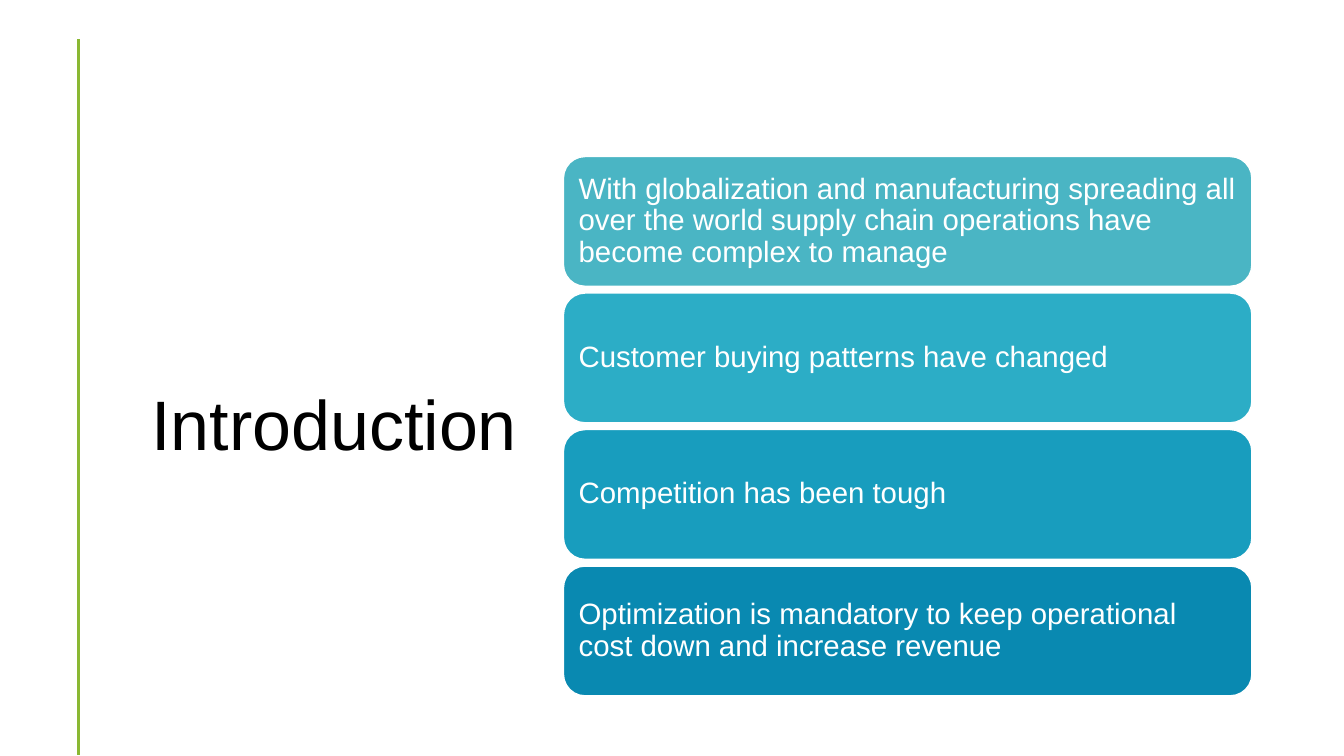
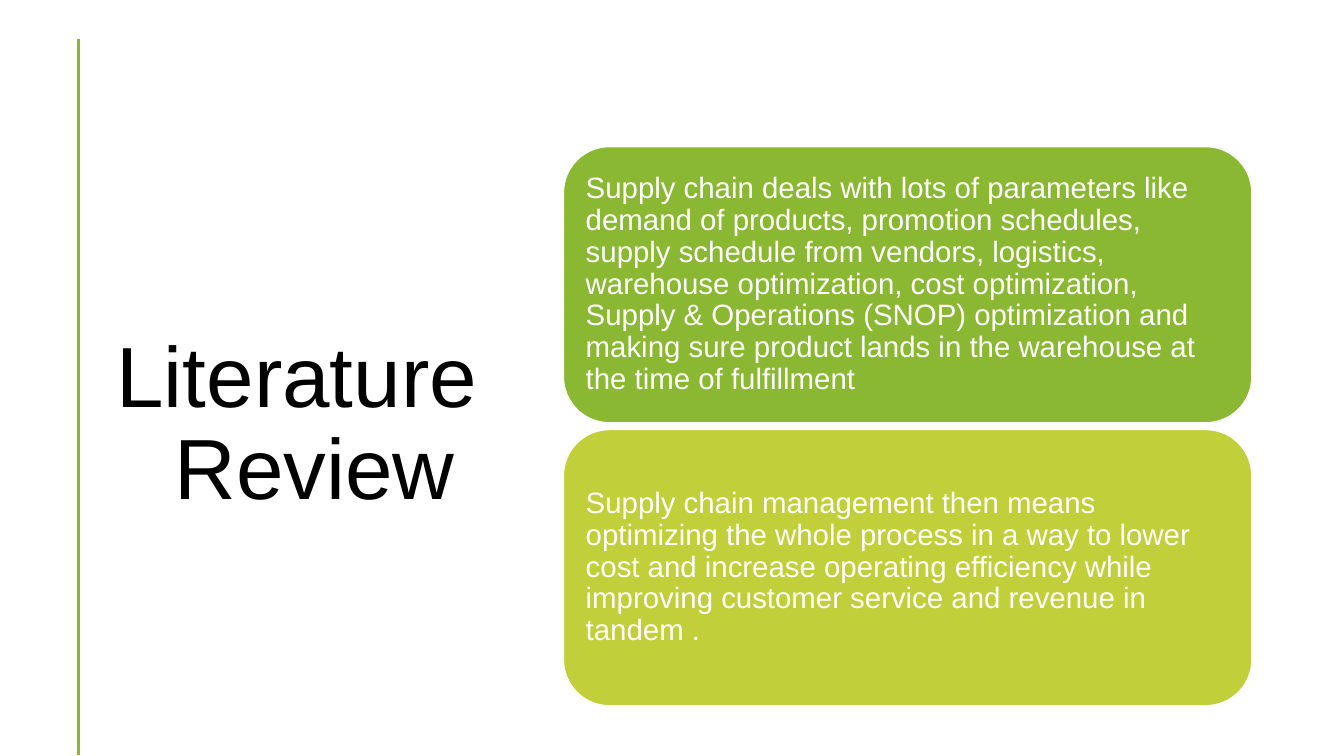
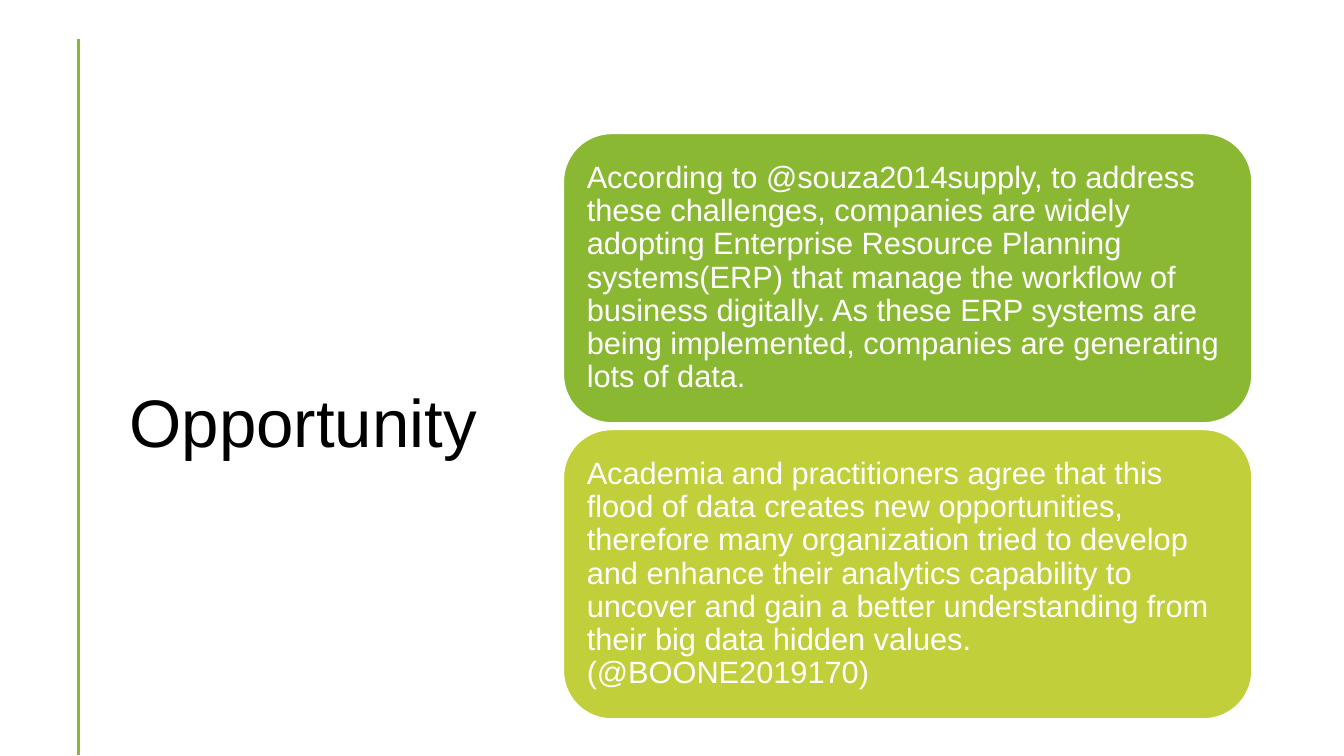
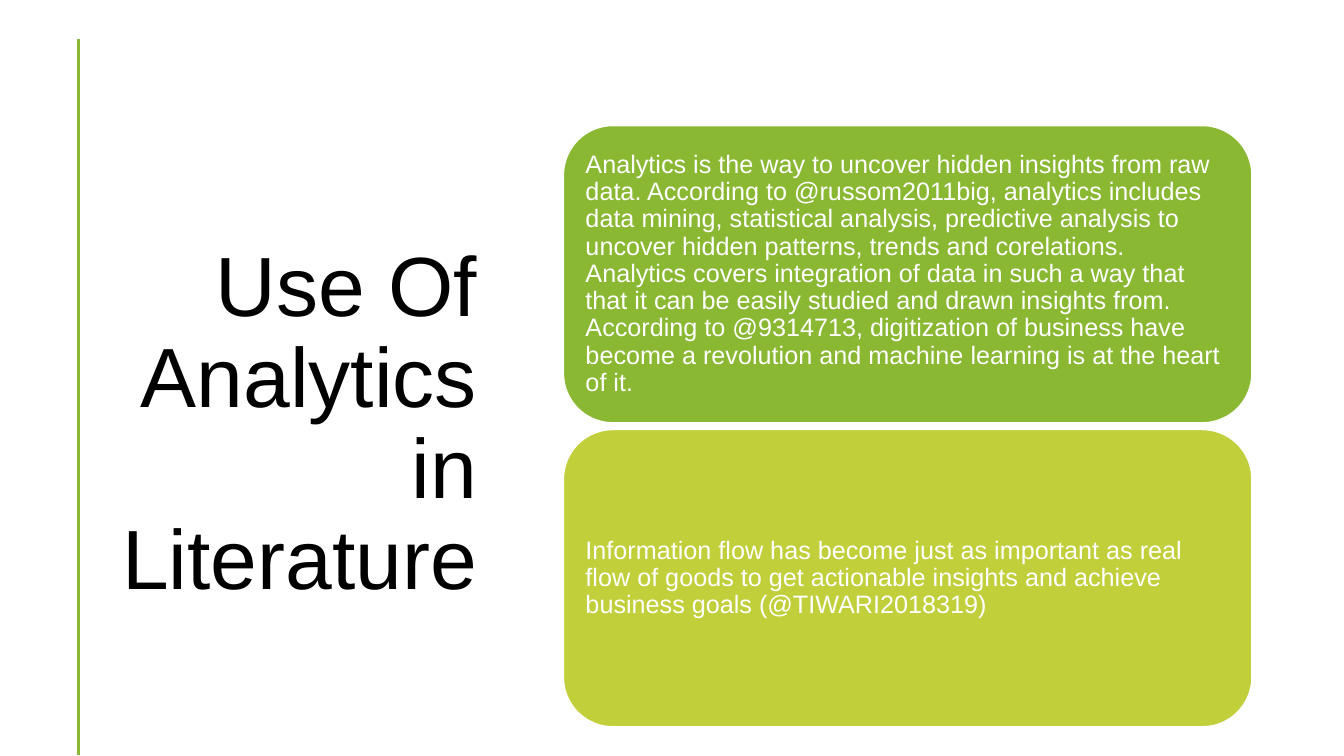
from dataclasses import dataclass

from lxml import etree
from pptx import Presentation
from pptx.dml.color import RGBColor
from pptx.enum import shapes, text
from pptx.oxml import ns
from pptx.util import Cm, Pt


@dataclass(frozen=True)
class Theme:
    font: str = "Arial"
    ink: str = "000000"
    paper: str = "FFFFFF"
    rule: str = "8AB833"
    blues: tuple = ("4AB5C4", "2CADC6", "189DBE", "0989B1")
    greens: tuple = ("8AB833", "C0CF3A")
    line_spacing: float = 0.9
    inset_per_point: float = 0.0106  # card margin in cm for each point of text


THEME = Theme()

# Content; lengths in cm, sizes in points
TOPICS = [
    dict(
        title="Introduction", title_size=50, title_at=(2.34, 3.02),
        card_size=21, card_height=3.27, fills=THEME.blues,
        points=[
            "With globalization and manufacturing spreading all over the world "
            "supply chain operations have become complex to manage",
            "Customer buying patterns have changed",
            "Competition has been tough",
            "Optimization is mandatory to keep operational cost down and "
            "increase revenue",
        ],
    ),
    dict(
        title="Literature Review\t", title_size=61, title_at=(1.32, 2.97),
        card_size=21, card_height=6.96, fills=THEME.greens,
        points=[
            "Supply chain deals with lots of parameters like demand of products, "
            "promotion schedules, supply schedule from vendors, logistics, "
            "warehouse optimization, cost optimization, Supply & Operations "
            "(SNOP) optimization and making sure product lands in the warehouse "
            "at the time of fulfillment",
            "Supply chain management then means optimizing the whole process in "
            "a way to lower cost and increase operating efficiency while "
            "improving customer service and revenue in tandem .",
        ],
    ),
    dict(
        title="Opportunity", title_size=48, title_at=(1.32, 2.97),
        card_size=22, card_height=7.29, fills=THEME.greens,
        points=[
            "According to @souza2014supply, to address these challenges, "
            "companies are widely adopting Enterprise Resource Planning "
            "systems(ERP) that manage the workflow of business digitally. As "
            "these ERP systems are being implemented, companies are generating "
            "lots of data.",
            "Academia and practitioners agree that this flood of data creates "
            "new opportunities, therefore many organization tried to develop and "
            "enhance their analytics capability to uncover and gain a better "
            "understanding from their big data hidden values.(@BOONE2019170)",
        ],
    ),
    dict(
        title="Use Of Analytics in Literature", title_size=60, title_at=(1.32, 2.97),
        card_size=18, card_height=7.49, fills=THEME.greens,
        points=[
            "Analytics is the way to uncover hidden insights from raw data. "
            "According to @russom2011big, analytics includes data mining, "
            "statistical analysis, predictive analysis to uncover hidden "
            "patterns, trends and corelations. Analytics covers integration of "
            "data in such a way that that it can be easily studied and drawn "
            "insights from. According to @9314713, digitization of business have "
            "become a revolution and machine learning is at the heart of it.",
            "Information flow has become just as important as real flow of goods "
            "to get actionable insights and achieve business goals "
            "(@TIWARI2018319)",
        ],
    ),
]

# Layout in cm
SLIDE_W, SLIDE_H = 33.87, 19.05
RULE_X, RULE_TOP, RULE_BOTTOM = 1.98, 0.99, 19.03
TITLE_W, TITLE_H = 10.95, 15.52
CARD_X, CARD_W, CARD_GAP = 14.2, 17.35, 0.17
STACK_MIDDLE = 10.74


def write(shape, words, *, size, color, align, inset=None):
    """Fill a shape with one vertically centred, wrapped paragraph."""
    frame = shape.text_frame
    frame.word_wrap = True
    frame.vertical_anchor = text.MSO_ANCHOR.MIDDLE
    if inset is not None:
        frame.margin_left = frame.margin_right = Cm(inset)
        frame.margin_top = frame.margin_bottom = Cm(inset)
    paragraph = frame.paragraphs[0]
    paragraph.alignment = align
    paragraph.line_spacing = THEME.line_spacing
    run = paragraph.add_run()
    run.text = words
    run.font.name = THEME.font
    run.font.size = Pt(size)
    run.font.color.rgb = RGBColor.from_string(color)


def add_rule(slide):
    rule = slide.shapes.add_connector(
        shapes.MSO_CONNECTOR.STRAIGHT,
        Cm(RULE_X), Cm(RULE_TOP), Cm(RULE_X), Cm(RULE_BOTTOM))
    rule.line.color.rgb = RGBColor.from_string(THEME.rule)
    rule.line.width = Pt(2)
    etree.SubElement(rule._element.spPr, ns.qn("a:effectLst"))


def add_title(slide, topic):
    left, top = topic["title_at"]
    title = slide.shapes.add_textbox(Cm(left), Cm(top), Cm(TITLE_W), Cm(TITLE_H))
    write(title, topic["title"], size=topic["title_size"], color=THEME.ink,
          align=text.PP_ALIGN.RIGHT)


def add_cards(slide, topic):
    """Stack the cards evenly around the shared middle line."""
    height, size = topic["card_height"], topic["card_size"]
    pitch = height + CARD_GAP
    first_top = STACK_MIDDLE - (len(topic["points"]) * pitch - CARD_GAP) / 2
    for row, (point, fill) in enumerate(zip(topic["points"], topic["fills"])):
        card = slide.shapes.add_shape(
            shapes.MSO_SHAPE.ROUNDED_RECTANGLE,
            Cm(CARD_X), Cm(first_top + row * pitch), Cm(CARD_W), Cm(height))
        card.shadow.inherit = False
        card.fill.solid()
        card.fill.fore_color.rgb = RGBColor.from_string(fill)
        card.line.color.rgb = RGBColor.from_string(THEME.paper)
        card.line.width = Pt(1)
        write(card, point, size=size, color=THEME.paper,
              align=text.PP_ALIGN.LEFT, inset=size * THEME.inset_per_point)


def main():
    deck = Presentation()
    deck.slide_width, deck.slide_height = Cm(SLIDE_W), Cm(SLIDE_H)
    blank = deck.slide_layouts[6]
    for topic in TOPICS:
        slide = deck.slides.add_slide(blank)
        add_rule(slide)
        add_title(slide, topic)
        add_cards(slide, topic)
    deck.save("out.pptx")


if __name__ == "__main__":
    main()
